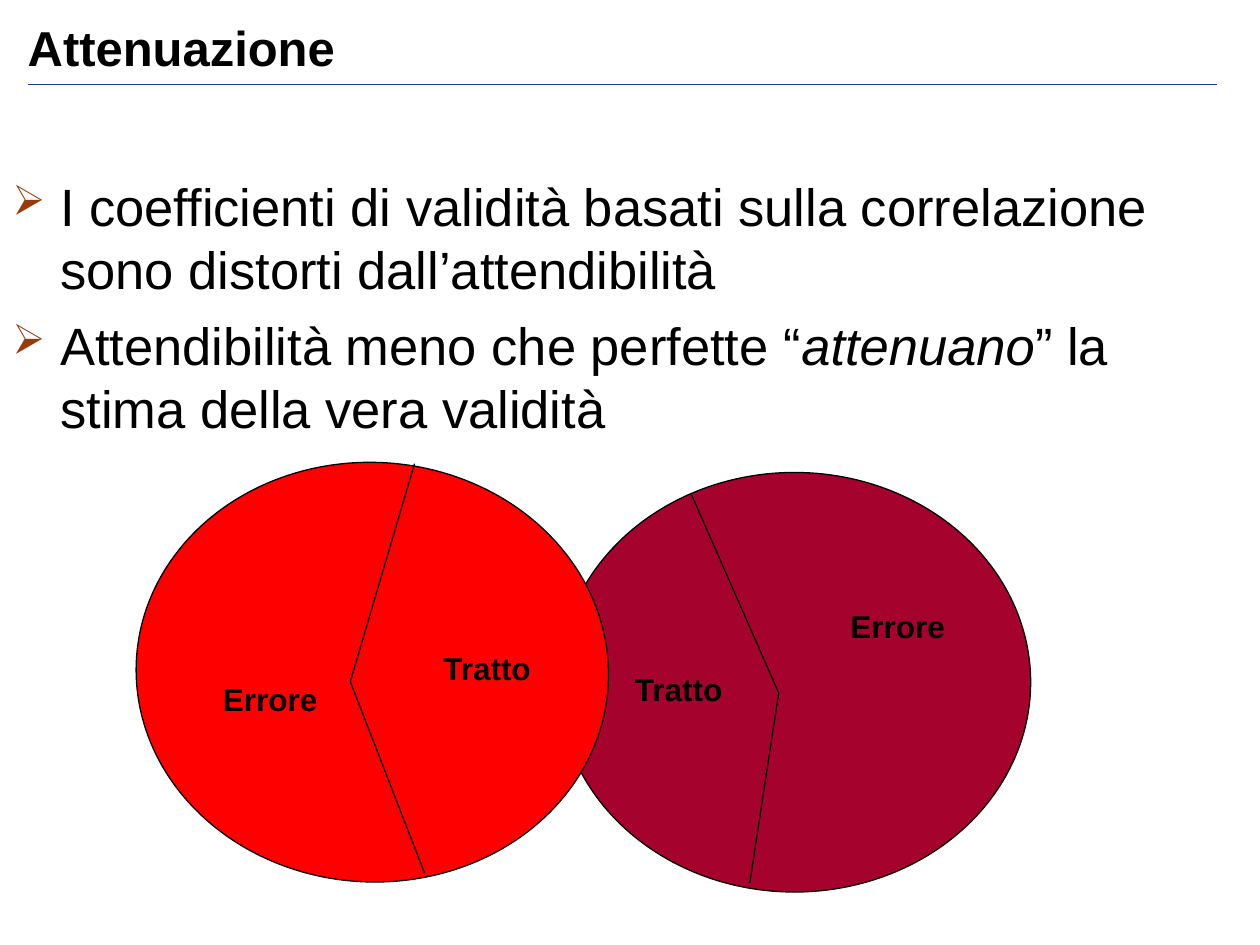
from lxml import etree
from pptx import Presentation
from pptx import util as u
from pptx.dml.color import RGBColor
from pptx.enum import shapes, text
from pptx.oxml.ns import qn

COLORS = {
    "black": "000000",
    "rule": "1E3F82",
    "bullet": "953C0A",
    "first_test": "FF0000",
    "second_test": "A5032D",
}
FONT = "Arial"


def rgb(name):
    return RGBColor.from_string(COLORS[name])


def add_run(paragraph, words, size, bold=False, italic=False):
    run = paragraph.add_run()
    run.text = words
    font = run.font
    font.name, font.size = FONT, u.Pt(size)
    font.bold, font.italic = bold, italic
    font.color.rgb = rgb("black")


def add_line(slide, start, end, color="black", width=0.75):
    line = slide.shapes.add_connector(
        shapes.MSO_CONNECTOR.STRAIGHT, *map(u.Inches, (*start, *end)))
    line.line.color.rgb = rgb(color)
    line.line.width = u.Pt(width)
    etree.SubElement(line._element.spPr, qn("a:effectLst"))


def add_title(slide, words):
    box = slide.shapes.add_textbox(*map(u.Inches, (0.22, 0.01, 8.96, 0.6)))
    frame = box.text_frame
    frame.word_wrap = True
    frame.vertical_anchor = text.MSO_ANCHOR.BOTTOM
    frame.margin_left = frame.margin_right = 0
    frame.margin_top = frame.margin_bottom = 0
    add_run(frame.paragraphs[0], words, 28, bold=True)


def add_variance_circle(slide, left, top, color, center, rays, rotation=0):
    """Draw a test's variance, divided by two rays that leave its center."""
    circle = slide.shapes.add_shape(
        shapes.MSO_SHAPE.OVAL, *map(u.Inches, (left, top, 3.75, 3.33)))
    circle.rotation = rotation
    circle.shadow.inherit = False
    circle.fill.solid()
    circle.fill.fore_color.rgb = rgb(color)
    circle.line.color.rgb = rgb("black")
    circle.line.width = u.Pt(0.75)
    for end in rays:
        add_line(slide, center, end)


def add_label(slide, words, left, top, width):
    box = slide.shapes.add_textbox(*map(u.Inches, (left, top, width, 0.4)))
    frame = box.text_frame
    frame.word_wrap = False
    frame.auto_size = text.MSO_AUTO_SIZE.SHAPE_TO_FIT_TEXT
    add_run(frame.paragraphs[0], words, 18, bold=True)


def add_bullet(paragraph):
    props = paragraph._p.get_or_add_pPr()
    props.set("marL", str(u.Inches(0.38)))
    props.set("indent", str(-u.Inches(0.38)))
    color = etree.SubElement(props, qn("a:buClr"))
    etree.SubElement(color, qn("a:srgbClr"), val=COLORS["bullet"])
    etree.SubElement(props, qn("a:buSzPct"), val="80000")
    etree.SubElement(props, qn("a:buChar"), char="➢")


def add_bullet_list(slide, points):
    """Each point is a list of (words, italic) pairs."""
    box = slide.shapes.add_textbox(*map(u.Inches, (0, 1.33, 10, 5.7)))
    frame = box.text_frame
    frame.word_wrap = True
    for index, point in enumerate(points):
        paragraph = frame.add_paragraph() if index else frame.paragraphs[0]
        add_bullet(paragraph)
        paragraph.line_spacing = u.Pt(36)
        if index:
            paragraph.space_before = u.Pt(7.5)
        for words, italic in point:
            add_run(paragraph, words, 30, italic=italic)


def main():
    prs = Presentation()
    prs.slide_width, prs.slide_height = u.Inches(10), u.Inches(7.5)
    slide = prs.slides.add_slide(prs.slide_layouts[6])

    add_line(slide, (0.22, 0.67), (9.66, 0.67), "rule", 1)
    add_title(slide, "Attenuazione")
    add_variance_circle(slide, 4.43, 3.75, "second_test", (6.18, 5.5),
                        [(5.49, 3.93), (5.95, 7.01)])
    add_variance_circle(slide, 1.08, 3.67, "first_test", (2.78, 5.41),
                        [(3.29, 3.68), (3.37, 6.93)], rotation=2.6)
    for label in [
        ("Tratto", 3.42, 5.1, 0.91),
        ("Tratto", 4.94, 5.27, 0.91),
        ("Errore", 1.67, 5.35, 0.95),
        ("Errore", 6.65, 4.77, 0.95),
    ]:
        add_label(slide, *label)
    add_bullet_list(slide, [
        [("I coefficienti di validità basati sulla correlazione "
          "sono distorti dall’attendibilità", False)],
        [("Attendibilità meno che perfette “", False),
         ("attenuano", True),
         ("” la stima della vera validità", False)],
    ])
    prs.save("out.pptx")


if __name__ == "__main__":
    main()
